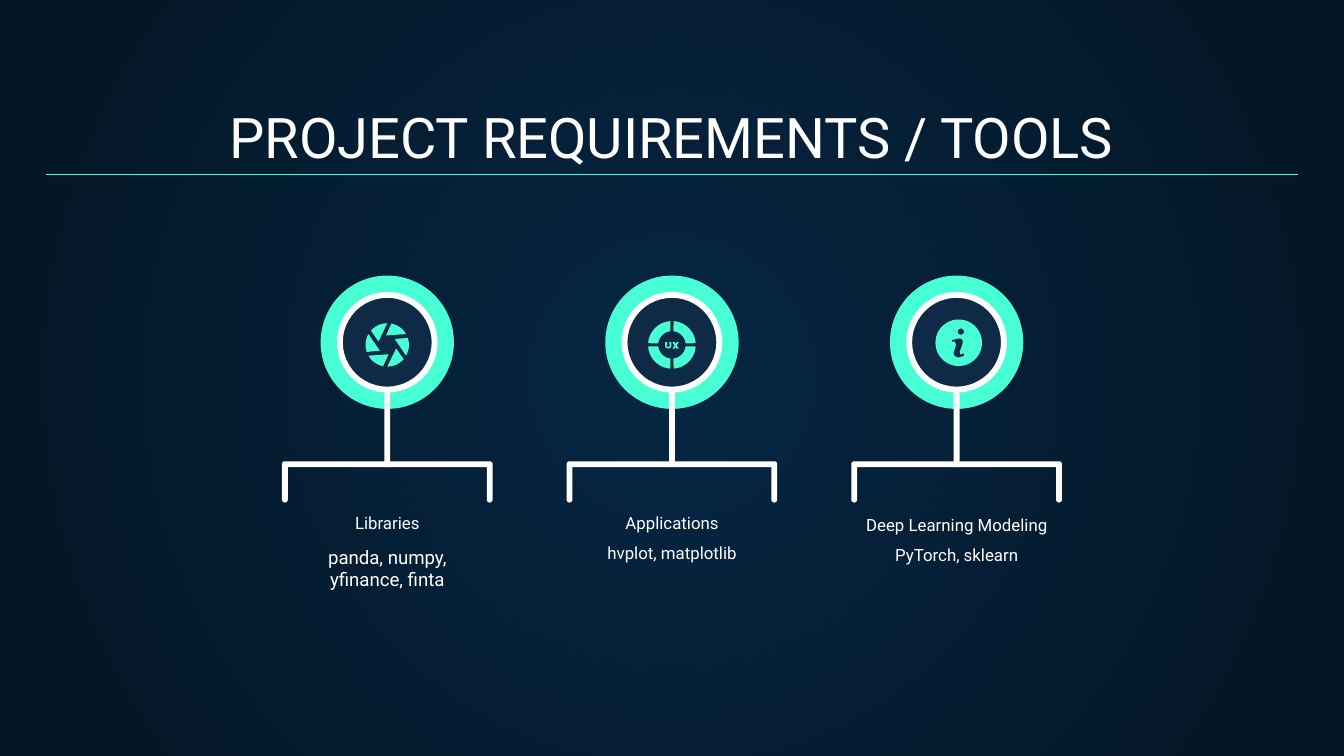
from dataclasses import dataclass
from math import cos, radians, sin

from lxml.etree import SubElement
from pptx import Presentation
from pptx.dml.color import RGBColor
from pptx.enum.shapes import MSO_CONNECTOR, MSO_SHAPE
from pptx.enum.text import MSO_ANCHOR, PP_ALIGN
from pptx.oxml.ns import qn
from pptx.util import Cm, Pt

WHITE = RGBColor(0xFF, 0xFF, 0xFF)
MINT = RGBColor(0x48, 0xFF, 0xD5)
NAVY = RGBColor(0x0E, 0x2A, 0x47)
GLOW = RGBColor(0x05, 0x26, 0x43)
NIGHT = RGBColor(0x04, 0x15, 0x23)
FONT = "Roboto"

# Lengths are in centimetres
SLIDE_W, SLIDE_H = 25.4, 14.29
COLUMN_PITCH = 5.38
BADGE_Y, ICON_Y = 6.47, 6.52
STROKE = 0.11

Point = tuple[float, float]


@dataclass(frozen=True)
class Tool:
    heading: str
    items: str
    items_size: float = 9
    drop: float = 0
    items_height: float = 1.4


TOOLS = [
    Tool("Libraries", "panda, numpy, yfinance, finta", items_size=10),
    Tool("Applications", "hvplot, matplotlib"),
    Tool("Deep Learning Modeling", "PyTorch, sklearn", drop=0.05, items_height=3.12),
]


def paint(shape, color: RGBColor) -> None:
    shape.shadow.inherit = False
    shape.fill.solid()
    shape.fill.fore_color.rgb = color
    shape.line.fill.background()


def add_text(slide, text: str, left: float, top: float, width: float, height: float,
             *, size: float, anchor=MSO_ANCHOR.TOP) -> None:
    frame = slide.shapes.add_textbox(Cm(left), Cm(top), Cm(width), Cm(height)).text_frame
    frame.word_wrap = True
    frame.vertical_anchor = anchor
    frame.margin_left = frame.margin_right = Cm(0.25)
    frame.margin_top = frame.margin_bottom = Cm(0.25)
    paragraph = frame.paragraphs[0]
    paragraph.alignment = PP_ALIGN.CENTER
    run = paragraph.add_run()
    run.text = text
    run.font.name = FONT
    run.font.size = Pt(size)
    run.font.color.rgb = WHITE


def add_round(slide, kind, x: float, radius: float, color: RGBColor):
    disc = slide.shapes.add_shape(kind, Cm(x - radius), Cm(BADGE_Y - radius),
                                  Cm(2 * radius), Cm(2 * radius))
    paint(disc, color)
    return disc


def arc(radius: float, start: float, end: float, x: float = 0, y: float = 0,
        steps: int = 12) -> list[Point]:
    """Points along an arc, angles in degrees clockwise from the right."""
    angles = [radians(start + (end - start) * i / steps) for i in range(steps + 1)]
    return [(x + radius * cos(a), y + radius * sin(a)) for a in angles]


def add_outline(slide, x: float, y: float, *contours: list[Point], color: RGBColor) -> None:
    """Draw closed contours, given relative to (x, y), as one shape."""
    placed = [[(Cm(x + dx), Cm(y + dy)) for dx, dy in contour] for contour in contours]
    builder = slide.shapes.build_freeform(*placed[0][0], scale=1.0)
    builder.add_line_segments(placed[0][1:], close=True)
    for contour in placed[1:]:
        builder.move_to(*contour[0])
        builder.add_line_segments(contour[1:], close=True)
    paint(builder.convert_to_shape(), color)


def add_bracket(slide, x: float) -> None:
    half, height, r = 1.99, 0.78, STROKE / 2
    outline = [
        *arc(r, 180, 270, r - half, r),
        *arc(r, 270, 360, half - r, r),
        *arc(r, 0, 180, half - r, height - r),
        (half - STROKE, STROKE), (STROKE - half, STROKE),
        *arc(r, 0, 180, r - half, height - r),
    ]
    add_outline(slide, x, 8.72, outline, color=WHITE)


def add_badge(slide, x: float) -> None:
    add_bracket(slide, x)
    add_round(slide, MSO_SHAPE.OVAL, x, 1.26, MINT)
    stem = slide.shapes.add_shape(MSO_SHAPE.ROUNDED_RECTANGLE, Cm(x - STROKE / 2), Cm(6.3),
                                  Cm(STROKE), Cm(2.53))
    stem.adjustments[0] = 0.5
    paint(stem, WHITE)
    add_round(slide, MSO_SHAPE.OVAL, x, 0.89, NAVY)
    ring_radius = 0.95
    ring = add_round(slide, MSO_SHAPE.DONUT, x, ring_radius, WHITE)
    ring.adjustments[0] = STROKE / (2 * ring_radius)


def add_aperture_icon(slide, x: float) -> None:
    for turn in range(0, 360, 60):
        blade = arc(0.41, turn - 79, turn - 30) + arc(0.18, turn - 98, turn - 98, steps=1)
        add_outline(slide, x, ICON_Y, blade, color=MINT)


def add_ux_icon(slide, x: float) -> None:
    for turn in range(0, 360, 90):
        quarter = arc(0.45, turn + 4, turn + 86) + arc(0.26, turn + 84, turn + 6)
        add_outline(slide, x, ICON_Y, quarter, color=MINT)
    letter_u = [(-0.13, -0.05), (-0.09, -0.05), *arc(0.03, 180, 0, -0.07, 0.01),
                (-0.05, -0.05), (-0.01, -0.05), *arc(0.06, 0, 180, -0.07, 0.01)]
    letter_x = [(0.01, -0.05), (0.05, -0.05), (0.07, -0.02), (0.09, -0.05),
                (0.13, -0.05), (0.09, 0.01), (0.13, 0.07), (0.09, 0.07),
                (0.07, 0.04), (0.05, 0.07), (0.01, 0.07), (0.05, 0.01)]
    for letter in (letter_u, letter_x):
        add_outline(slide, x, ICON_Y, letter, color=MINT)


def add_info_icon(slide, x: float) -> None:
    disc = arc(0.44, 0, 360, steps=48)
    dot = arc(0.06, 0, 360, 0.04, -0.21)
    stem = [(-0.13, -0.05), (-0.02, -0.08), (0.05, -0.08), (0.08, -0.03), (0.07, 0.03),
            (0.02, 0.17), (0.03, 0.22), (0.1, 0.2), (0.1, 0.25), (-0.01, 0.28),
            (-0.08, 0.25), (-0.1, 0.2), (-0.05, 0.04), (-0.07, -0.02), (-0.13, -0.02)]
    add_outline(slide, x + 0.04, BADGE_Y + 0.01, disc, dot, stem, color=MINT)


def set_background(slide) -> None:
    fill = slide.background.fill
    fill.gradient()
    for stop, color in zip(fill.gradient_stops, (GLOW, NIGHT)):
        stop.color.rgb = color
    # Turn the linear gradient into a circular one
    gradient = slide.element.find(".//" + qn("a:gradFill"))
    gradient.remove(gradient.find(qn("a:lin")))
    circle = SubElement(gradient, qn("a:path"), {"path": "circle"})
    SubElement(circle, qn("a:fillToRect"), {side: "50000" for side in "ltrb"})


def add_rule(slide, left: float, right: float, y: float) -> None:
    rule = slide.shapes.add_connector(MSO_CONNECTOR.STRAIGHT, Cm(left), Cm(y), Cm(right), Cm(y))
    rule.line.color.rgb = MINT
    rule.line.width = Pt(0.75)
    SubElement(rule.element.spPr, qn("a:effectLst"))


def main() -> None:
    deck = Presentation()
    deck.slide_width, deck.slide_height = Cm(SLIDE_W), Cm(SLIDE_H)
    slide = deck.slides.add_slide(deck.slide_layouts[6])
    set_background(slide)

    # Title
    add_text(slide, "PROJECT REQUIREMENTS / TOOLS", 0.86, 1.78, 23.67, 1.68,
             size=30, anchor=MSO_ANCHOR.BOTTOM)
    add_rule(slide, 0.87, SLIDE_W - 0.87, 3.3)

    # Tool columns
    icons = (add_aperture_icon, add_ux_icon, add_info_icon)
    for column, (tool, add_icon) in enumerate(zip(TOOLS, icons)):
        x = SLIDE_W / 2 + (column - 1) * COLUMN_PITCH
        add_badge(slide, x)
        add_icon(slide, x)
        add_text(slide, tool.heading, x - 2.88, 9.73 + tool.drop, 5.76, 0.53,
                 size=9, anchor=MSO_ANCHOR.BOTTOM)
        add_text(slide, tool.items, x - 1.93, 10.06 + tool.drop, 3.86, tool.items_height,
                 size=tool.items_size)

    deck.save("out.pptx")


if __name__ == "__main__":
    main()
